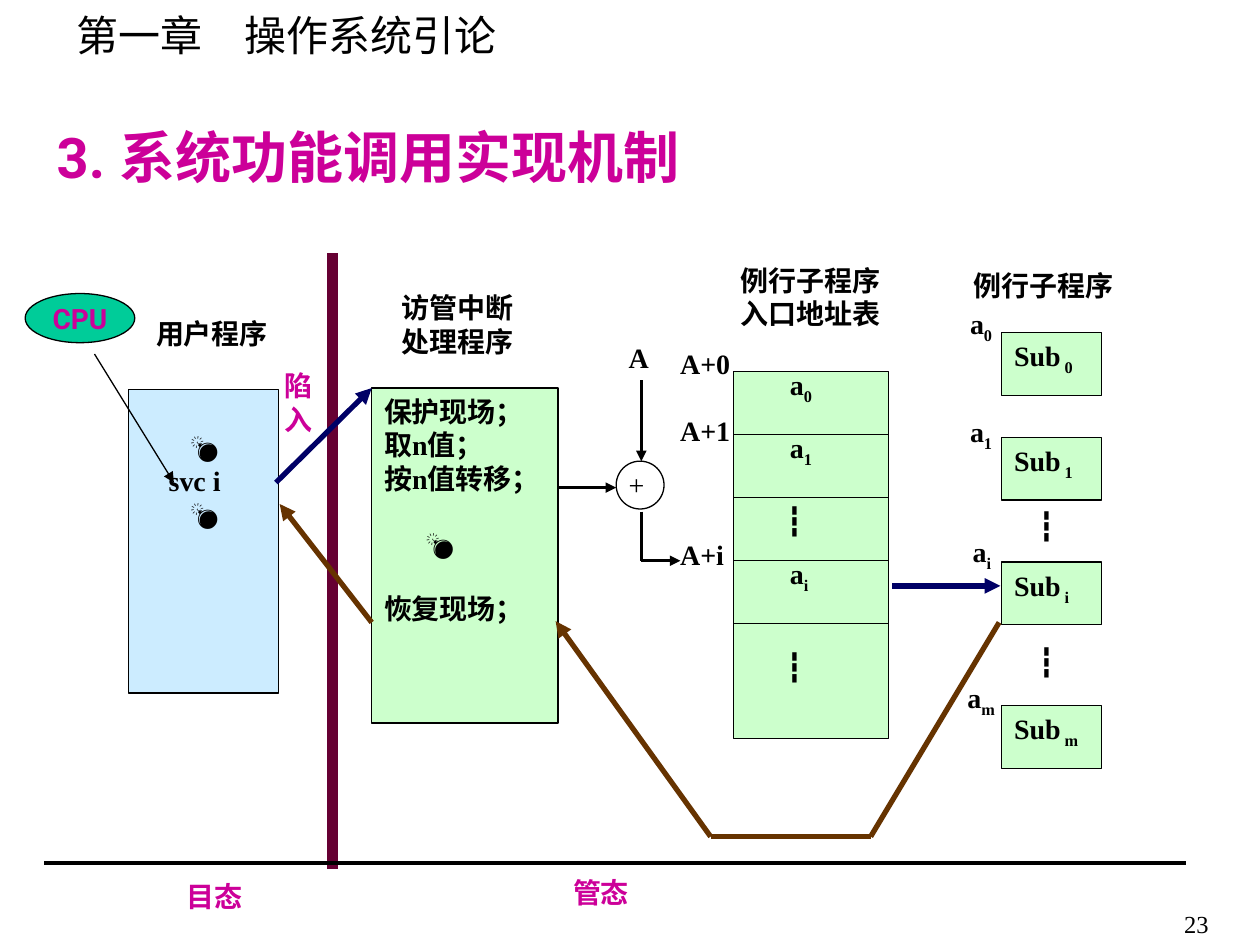
from lxml.etree import SubElement
from pptx import Presentation
from pptx.dml.color import RGBColor
from pptx.enum.shapes import MSO_CONNECTOR, MSO_SHAPE
from pptx.enum.text import MSO_ANCHOR, MSO_AUTO_SIZE, PP_ALIGN
from pptx.oxml.ns import qn
from pptx.util import Pt

PX = 9144  # EMU per px, 100 px to the inch
COLORS = {
    "ink": "000000", "paper": "FFFFFF", "accent": "CC0099", "user": "CCECFF",
    "system": "CCFFCC", "cpu": "00CC99", "border": "660033",
    "call": "000066", "return": "663300",
}
SERIF, SANS, CJK, SYMBOL = "Times New Roman", "Roboto", "Noto Sans CJK SC", "Calibri"


def rgb(name):
    return RGBColor.from_string(COLORS[name])


def add_line(slide, start, end, color="ink", width=0.75, arrow=False):
    line = slide.shapes.add_connector(
        MSO_CONNECTOR.STRAIGHT, *(v * PX for v in (*start, *end)))
    line.line.color.rgb = rgb(color)
    line.line.width = Pt(width)
    properties = line._element.spPr
    if arrow:
        SubElement(line.line._get_or_add_ln(), qn("a:tailEnd"), type="triangle")
    SubElement(properties, qn("a:effectLst"))


def style(paragraph, size=16, font=SERIF, color="ink", bold=True):
    paragraph.font.size = Pt(size)
    paragraph.font.name = font
    paragraph.font.bold = bold
    paragraph.font.color.rgb = rgb(color)


def write(frame, lines, align=PP_ALIGN.LEFT, **look):
    """Fill a frame with one paragraph a line; what follows '|' is subscript."""
    for i, line in enumerate(lines):
        paragraph = frame.paragraphs[0] if i == 0 else frame.add_paragraph()
        base, _, subscript = line.partition("|")
        paragraph.add_run().text = base
        if subscript:
            index = paragraph.add_run()
            index.text = subscript
            index._r.get_or_add_rPr().set("baseline", "-25000")
        paragraph.alignment = align
        style(paragraph, **look)


def add_label(slide, box, *lines, wrap=True, **look):
    frame = slide.shapes.add_textbox(*(v * PX for v in box)).text_frame
    frame.word_wrap = wrap
    write(frame, lines, **look)
    return frame


def add_box(slide, box, fill, kind=MSO_SHAPE.RECTANGLE):
    shape = slide.shapes.add_shape(kind, *(v * PX for v in box))
    shape.shadow.inherit = False
    shape.fill.solid()
    shape.fill.fore_color.rgb = rgb(fill)
    shape.line.color.rgb = rgb("ink")
    shape.line.width = Pt(0.75)
    shape.text_frame.vertical_anchor = MSO_ANCHOR.TOP
    return shape.text_frame


def indent(paragraph, px):
    paragraph._p.get_or_add_pPr().set("marL", str(px * PX))


def headings(slide, x, y):
    add_label(slide, (x + 16, y, 361, 50), "第一章\u3000操作系统引论".replace("\u3000", "　"),
              wrap=False, size=24, font=CJK, bold=False)
    title = slide.shapes.title
    title.left, title.top, title.width, title.height = (
        v * PX for v in (x, y + 89, 918, 64))
    title.text_frame.auto_size = MSO_AUTO_SIZE.NONE
    title.text_frame.vertical_anchor = MSO_ANCHOR.TOP
    write(title.text_frame, ["3. 系统功能调用实现机制"],
          size=32, font=SANS, color="accent")


def user_program(slide, x, y, width, height):
    add_label(slide, (x + 12, y - 63, 110, 37), "用户程序")
    frame = add_box(slide, (x, y, width, height), "user")
    frame.margin_top = 32 * PX
    write(frame, ["💣", "svc i", "💣"])
    for paragraph, margin in zip(frame.paragraphs, (39, 22, 39)):
        indent(paragraph, margin)
    for bomb in frame.paragraphs[::2]:
        bomb.font.name = SYMBOL


def supervisor(slide, x, y, width, height):
    add_label(slide, (x + 14, y - 82, 111, 66), "访管中断", "处理程序")
    frame = add_box(slide, (x, y, width, height), "system")
    write(frame, ["保护现场；", "取n值；", "按n值转移；", "💣", "恢复现场；"],
          align=PP_ALIGN.JUSTIFY)
    bomb, restore = frame.paragraphs[3:]
    bomb.font.name = SYMBOL
    indent(bomb, 33)
    bomb.space_before = restore.space_before = Pt(18)


def address_adder(slide, x, y, size):
    """Circle that adds n to the base address A, with its arrows."""
    axis = x + 20
    add_label(slide, (x, y - 101, 40, 37), "A")
    add_line(slide, (axis, y - 64), (axis, y), width=1.5, arrow=True)
    add_box(slide, (x, y, size, size), "paper", MSO_SHAPE.OVAL)
    add_label(slide, (x, y, 48, 57), "+", bold=False)
    add_line(slide, (x - 45, y + 21), (x, y + 21), width=1.5, arrow=True)
    add_line(slide, (axis, y + 40), (axis, y + 79), width=1.5)
    add_line(slide, (axis, y + 79), (axis + 31, y + 79), width=1.5, arrow=True)


def entry_table(slide, x, y, width, height):
    row = 50
    add_label(slide, (x - 4, y - 91, 152, 66), "例行子程序", "入口地址表")
    add_box(slide, (x, y, width, height), "system")
    for i in range(1, 5):
        add_line(slide, (x, y + i * row), (x + width, y + i * row))
    for i, entry in ((0, "a|0"), (1, "a|1"), (3, "a|i")):
        add_label(slide, (x + 35, y + i * row - 8, 47, 41), entry)
    for top in (100, 216):
        add_label(slide, (x + 32, y + top, 39, 37), "┇", bold=False)
    for top, address in ((-25, "A+0"), (28, "A+1"), (127, "A+i")):
        add_label(slide, (x - 52, y + top, 72, 37), address)


def subroutines(slide, x, y, width, height):
    """Column of routines; width and height are those of one routine."""
    add_label(slide, (x - 32, y - 56, 159, 50), "例行子程序")
    for index, top, address_left, address_top in (
            ("0", 0, 35, 26), ("1", 83, 35, 23), ("i", 182, 33, 27), ("m", 296, 37, 25)):
        write(add_box(slide, (x, y + top, width, height), "system"), [f"Sub| {index}"])
        add_label(slide, (x - address_left, y + top - address_top, 52, 41), f"a|{index}")
    for top in (135, 243):
        add_label(slide, (x + 19, y + top, 41, 37), "┇", bold=False)


def mode_frame(slide, x, y, width, height):
    """Border between user mode and system mode, with the mode names."""
    base = y + height
    add_line(slide, (x + 229, y), (x + 229, base + 5), "border", 6)
    add_line(slide, (x, base), (x + width, base), width=2)
    for left, top, mode in ((103, 8, "目态"), (410, 5, "管态")):
        add_label(slide, (x + left, base + top, 110, 37), mode, font=SANS, color="accent")
    add_label(slide, (x + 181, y + 87, 55, 64), "陷入", font=SANS, color="accent")


def control_flow(slide):
    add_line(slide, (219, 383), (295, 308), "call", 3, arrow=True)
    add_line(slide, (708, 465), (794, 465), "call", 3, arrow=True)
    way_back = [(793, 494), (691, 664), (564, 664), (441, 493)]
    for start, end in zip(way_back, way_back[1:]):
        add_line(slide, start, end, "return", 3, arrow=end == way_back[-1])
    add_line(slide, (295, 494), (222, 400), "return", 3, arrow=True)


def cpu(slide, x, y, width, height):
    add_line(slide, (x + 55, y + 48), (x + 118, y + 150), arrow=True)
    frame = add_box(slide, (x, y, width, height), "cpu", MSO_SHAPE.OVAL)
    frame.vertical_anchor = MSO_ANCHOR.MIDDLE
    frame.word_wrap = False
    write(frame, ["CPU"], align=PP_ALIGN.CENTER, font=SANS, color="accent")


def page_number(slide, x, y):
    number = add_label(slide, (x, y, 41, 38), "23", size=14, bold=False,
                       align=PP_ALIGN.CENTER)
    number.paragraphs[0].line_spacing = 1.2


def main():
    presentation = Presentation()
    presentation.slide_width, presentation.slide_height = 1000 * PX, 750 * PX
    slide = presentation.slides.add_slide(presentation.slide_layouts[5])
    headings(slide, 35, 3)
    entry_table(slide, 582, 295, 123, 291)
    supervisor(slide, 295, 308, 148, 266)
    user_program(slide, 102, 309, 119, 241)
    mode_frame(slide, 35, 201, 906, 484)
    address_adder(slide, 489, 366, 38)
    subroutines(slide, 795, 264, 79, 50)
    control_flow(slide)
    cpu(slide, 20, 233, 87, 39)
    page_number(slide, 929, 712)
    presentation.save("out.pptx")


if __name__ == "__main__":
    main()
